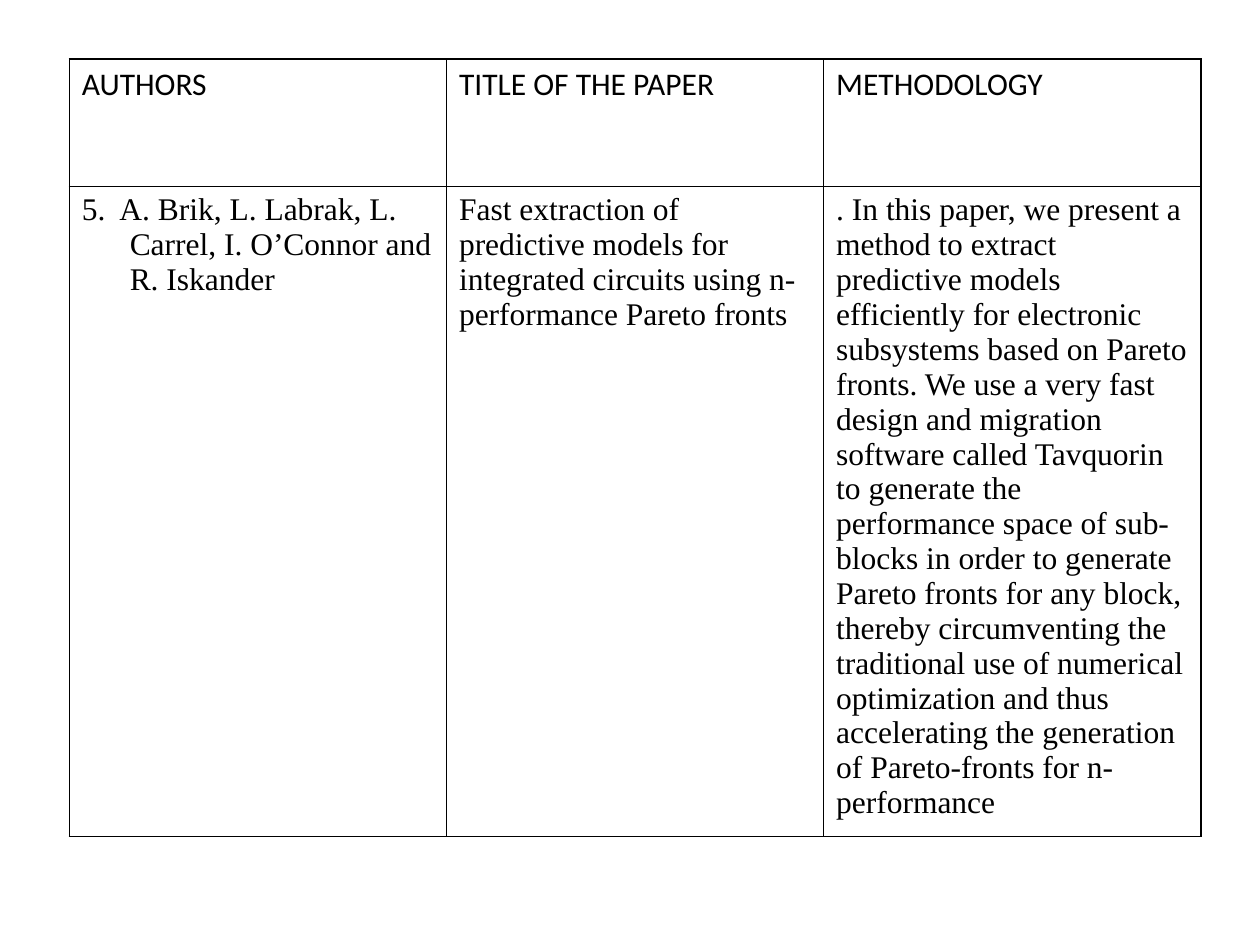
from lxml import etree
from pptx import Presentation
from pptx.dml.color import RGBColor
from pptx.oxml.ns import qn
from pptx.util import Inches, Pt

BLACK = RGBColor(0, 0, 0)
HEADINGS = ("AUTHORS", "TITLE OF THE PAPER", "METHODOLOGY")
PAPER = (
    "5.  A. Brik, L. Labrak, L. Carrel, I. O’Connor and R. Iskander",
    "Fast extraction of predictive models for integrated circuits using "
    "n-performance Pareto fronts",
    ". In this paper, we present a method to extract predictive models "
    "efficiently for electronic subsystems based on Pareto fronts. We use a "
    "very fast design and migration software called Tavquorin to generate the "
    "performance space of sub-blocks in order to generate Pareto fronts for "
    "any block, thereby circumventing the traditional use of numerical "
    "optimization and thus accelerating the generation of Pareto-fronts for "
    "n-performance",
)


def write_text(frame, wording, font="Calibri", size=18, color=BLACK, hanging=0):
    paragraph = frame.paragraphs[0]
    run = paragraph.add_run()
    run.text = wording
    run.font.name = font
    run.font.size = Pt(size)
    run.font.bold = False
    run.font.color.rgb = color
    if hanging:
        properties = paragraph._p.get_or_add_pPr()
        properties.set("marL", str(Inches(hanging)))
        properties.set("indent", str(-Inches(hanging)))


def outline_cell(cell, color=BLACK, width=1):
    """Draw all four borders, ahead of the cell's fill as the schema asks."""
    properties = cell._tc.get_or_add_tcPr()
    for position, side in enumerate(("a:lnL", "a:lnR", "a:lnT", "a:lnB")):
        line = etree.Element(qn(side), w=str(Pt(width)))
        fill = etree.SubElement(line, qn("a:solidFill"))
        etree.SubElement(fill, qn("a:srgbClr"), val=str(color))
        properties.insert(position, line)


def add_literature_table(slide, left, top, width, row_heights):
    columns = len(HEADINGS)
    table = slide.shapes.add_table(
        len(row_heights), columns, left, top, width, sum(row_heights)
    ).table
    table.first_row = table.horz_banding = False
    for row, height in zip(table.rows, row_heights):
        row.height = height
    for column in table.columns:
        column.width = int(width / columns)

    for cell in table.iter_cells():
        cell.fill.background()
        outline_cell(cell)
    for index, (heading, entry) in enumerate(zip(HEADINGS, PAPER)):
        write_text(table.cell(0, index).text_frame, heading)
        write_text(table.cell(1, index).text_frame, entry,
                   font="Times New Roman", hanging=0.38 if index == 0 else 0)


def main():
    deck = Presentation()
    deck.slide_width, deck.slide_height = Inches(10), Inches(7.5)
    slide = deck.slides.add_slide(deck.slide_layouts[6])
    add_literature_table(slide, Inches(0.55), Inches(0.47), Inches(8.98),
                         (Inches(1.01), Inches(5.16)))
    deck.save("out.pptx")


if __name__ == "__main__":
    main()
